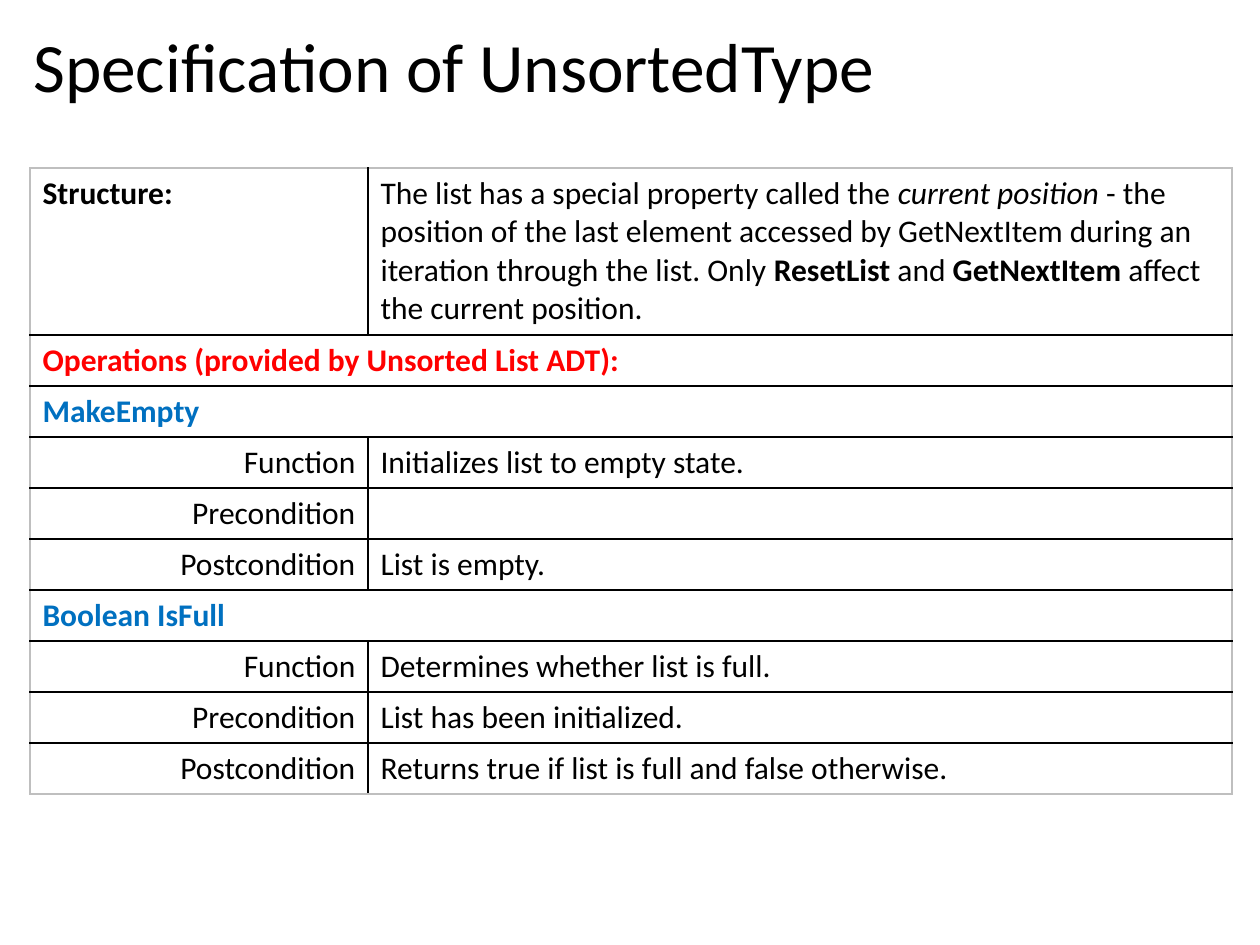
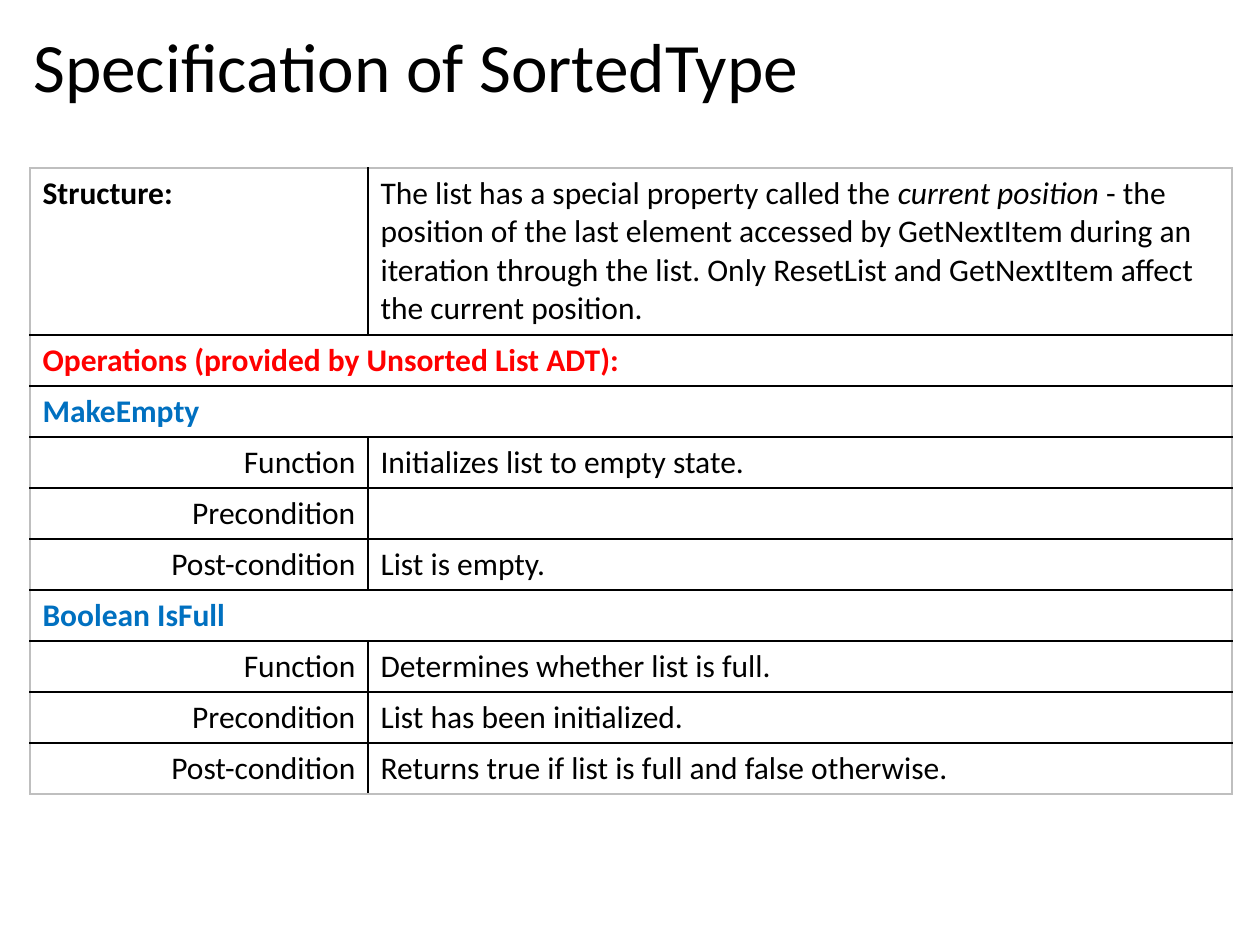
import pptx
import pptx.dml.color
import pptx.enum.text
import pptx.oxml
import pptx.oxml.ns
import pptx.util

EMU_PER_PX = 914400 / 126
SLIDE_SIZE = (1260, 945)
TITLE_BOX = (21, 23, 1212, 93)
TABLE_BOX = (30, 168, 1202, 626)
LABEL_WIDTH = 338
ROW_HEIGHT = 51
FONT = "Calibri"
BLACK, RED, BLUE, GREY = "000000", "FF0000", "0070C0", "BFBFBF"
LEFT = pptx.enum.text.PP_ALIGN.LEFT
RIGHT = pptx.enum.text.PP_ALIGN.RIGHT
PLAIN = {"name": FONT, "size": pptx.util.Pt(18), "bold": False, "italic": False}
BOLD = {**PLAIN, "bold": True}
ITALIC = {**PLAIN, "italic": True}
TITLE = {**PLAIN, "size": pptx.util.Pt(39.6)}

INTRODUCTION = [
    ("The list has a special property called the ", PLAIN),
    ("current position ", ITALIC),
    ("- the position of the last element accessed by GetNextItem during an "
     "iteration through the list. Only ", PLAIN),
]
OPERATIONS = [
    ("MakeEmpty", ["Initializes list to empty state.", "", "List is empty."]),
    ("Boolean IsFull", ["Determines whether list is full.", "List has been initialized.",
                        "Returns true if list is full and false otherwise."]),
]
SPECIFICATIONS = [
    ("Specification of UnsortedType", BOLD, "Postcondition"),
    ("Specification of SortedType", PLAIN, "Post-condition"),
]


def px(length):
    """Turn px into EMU."""
    return pptx.util.Emu(round(length * EMU_PER_PX))


def color(value):
    """Turn a hex string into a colour."""
    return pptx.dml.color.RGBColor.from_string(value)


def write(paragraph, runs, hex_color=BLACK, alignment=LEFT):
    """Fill a paragraph with formatted runs."""
    paragraph.alignment = alignment
    for text, font_format in runs:
        run = paragraph.add_run()
        run.text = text
        for name, value in font_format.items():
            setattr(run.font, name, value)
        run.font.color.rgb = color(hex_color)


def add_title(slide, box, text):
    """Place the slide title in its box."""
    shape = slide.shapes.add_textbox(*map(px, box))
    frame = shape.text_frame
    settings = {"word_wrap": True, "vertical_anchor": pptx.enum.text.MSO_ANCHOR.MIDDLE}
    for name, value in settings.items():
        setattr(frame, name, value)
    frame.paragraphs[0].line_spacing = 0.9
    write(frame.paragraphs[0], [(text, TITLE)])


def set_borders(cell, outer_sides):
    """Draw 1 pt cell borders, grey on the outer sides and black inside."""
    properties = cell._tc.get_or_add_tcPr()
    for index, side in enumerate("LRTB"):
        line_color = GREY if side in outer_sides else BLACK
        properties.insert(index, pptx.oxml.parse_xml(
            f'<a:ln{side} {pptx.oxml.ns.nsdecls("a")} w="12700"><a:solidFill>'
            f'<a:srgbClr val="{line_color}"/></a:solidFill></a:ln{side}>'))


def table_rows(method_format, postcondition):
    """List the rows as cells of runs, colour and alignment."""
    structure = INTRODUCTION + [
        ("ResetList ", method_format), ("and ", PLAIN), ("GetNextItem", method_format),
        (" affect the current position.", PLAIN)]
    rows = [
        [([("Structure:", BOLD)], BLACK, LEFT), (structure, BLACK, LEFT)],
        [([("Operations (provided by Unsorted List ADT):", BOLD)], RED, LEFT)],
    ]
    for operation, descriptions in OPERATIONS:
        rows.append([([(operation, BOLD)], BLUE, LEFT)])
        for label, description in zip(["Function", "Precondition", postcondition], descriptions):
            runs = [(description, PLAIN)] if description else []
            rows.append([([(label, PLAIN)], BLACK, RIGHT), (runs, BLACK, LEFT)])
    return rows


def add_specification(slide, box, rows):
    """Place the specification table in its box."""
    table = slide.shapes.add_table(len(rows), 2, *map(px, box)).table
    for name in ("first_row", "horz_banding"):
        setattr(table, name, False)
    for column, width in zip(table.columns, (LABEL_WIDTH, box[2] - LABEL_WIDTH)):
        column.width = px(width)
    last = len(rows) - 1
    for row_index, contents in enumerate(rows):
        height = ROW_HEIGHT if row_index else box[3] - last * ROW_HEIGHT
        table.rows[row_index].height = px(height)
        spans = len(contents) == 1
        if spans:
            table.cell(row_index, 0).merge(table.cell(row_index, 1))
        for column_index in range(2):
            cell = table.cell(row_index, column_index)
            cell.fill.background()
            outer = {"L": column_index == 0, "R": spans or column_index == 1,
                     "T": row_index == 0, "B": row_index == last}
            set_borders(cell, [side for side, is_outer in outer.items() if is_outer])
        for column_index, content in enumerate(contents):
            write(table.cell(row_index, column_index).text_frame.paragraphs[0], *content)


def main():
    """Build and save the presentation."""
    presentation = pptx.Presentation()
    presentation.slide_width, presentation.slide_height = map(px, SLIDE_SIZE)
    for title, method_format, postcondition in SPECIFICATIONS:
        slide = presentation.slides.add_slide(presentation.slide_layouts[6])
        add_title(slide, TITLE_BOX, title)
        add_specification(slide, TABLE_BOX, table_rows(method_format, postcondition))
    presentation.save("out.pptx")


if __name__ == "__main__":
    main()
